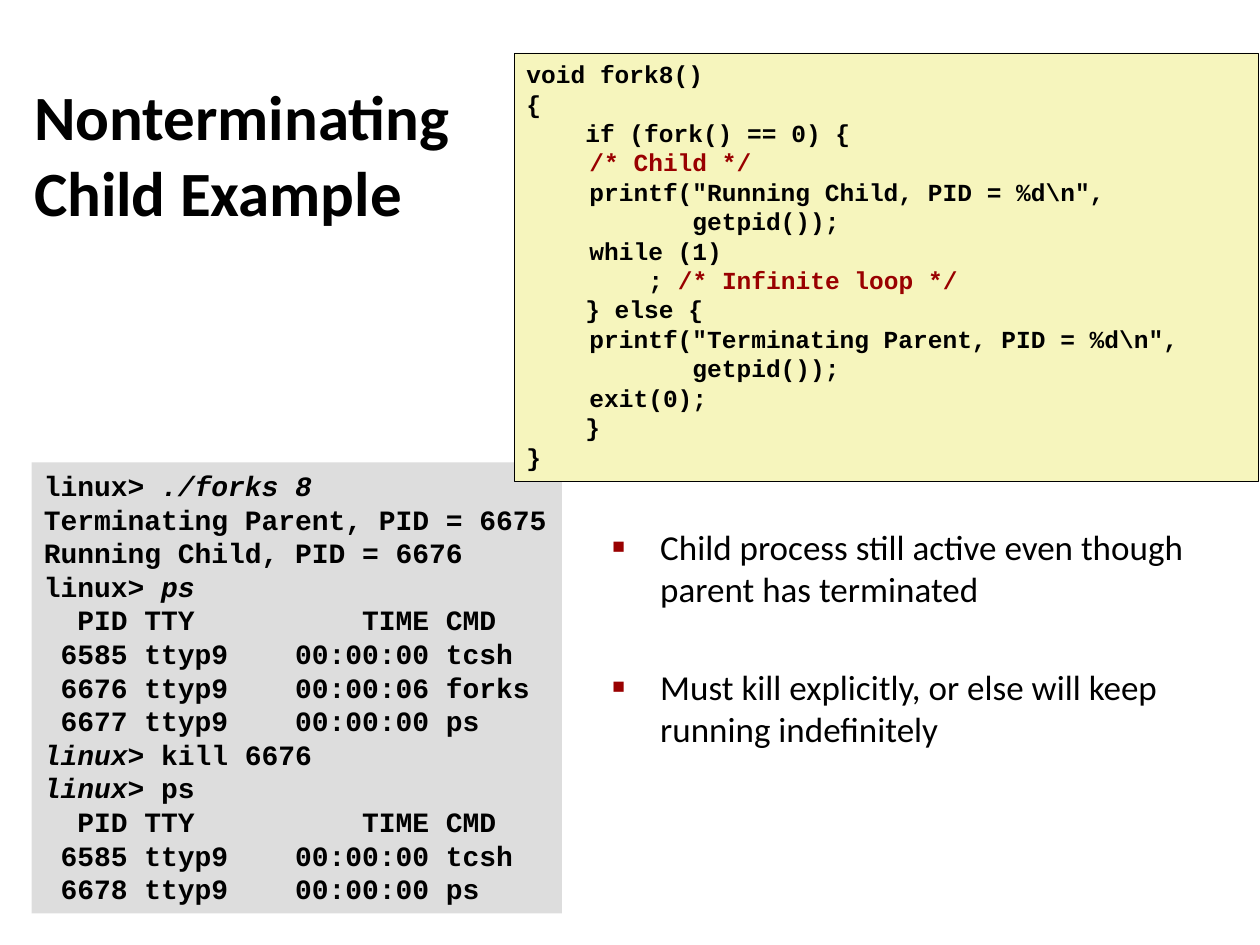
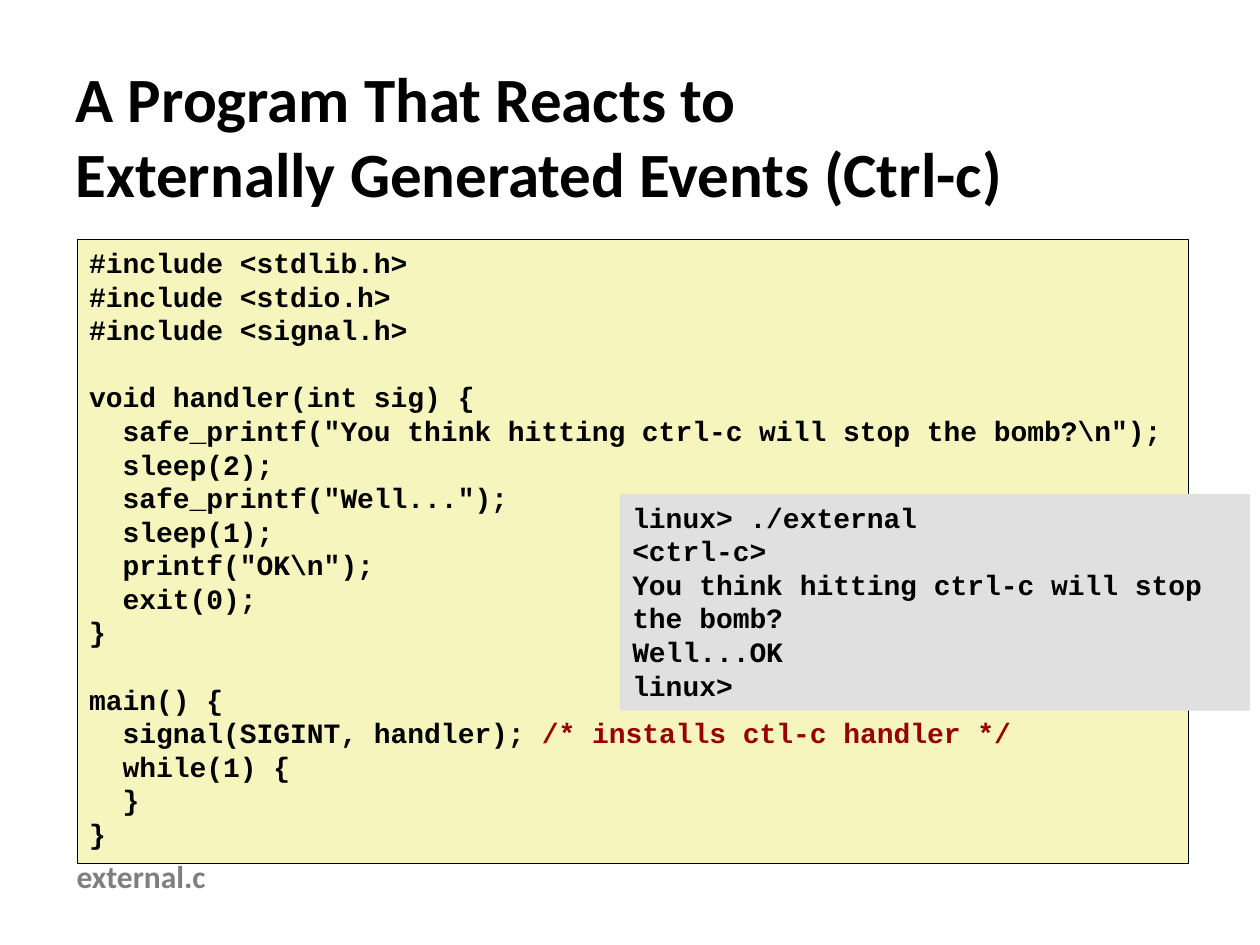
from lxml.etree import SubElement
from pptx import Presentation
from pptx.dml.color import RGBColor
from pptx.enum.shapes import MSO_SHAPE as Preset
from pptx.enum.text import MSO_ANCHOR as Anchor, MSO_AUTO_SIZE as AutoSize, PP_ALIGN as Align
from pptx.oxml.ns import qn
from pptx.util import Inches, Pt

COLORS = {
    "text": "000000",
    "accent": "990000",
    "code": "F6F5BD",
    "fork_terminal": "DDDDDD",
    "signal_terminal": "E0E0E0",
    "caption": "7F7F7F",
}
BODY_FONT = "Calibri"
CODE_FONT = "Courier New"

FORK_CODE = r"""void fork8()
{
    if (fork() == 0) {
	/* Child */
	printf("Running Child, PID = %d\n",
	       getpid());
	while (1)
	    ; /* Infinite loop */
    } else {
	printf("Terminating Parent, PID = %d\n",
	       getpid());
	exit(0);
    }
}"""

SIGNAL_CODE = r"""#include <stdlib.h>
#include <stdio.h>
#include <signal.h>

void handler(int sig) {
  safe_printf("You think hitting ctrl-c will stop the bomb?\n");
  sleep(2);
  safe_printf("Well...");
  sleep(1);
  printf("OK\n");
  exit(0);
}

main() {
  signal(SIGINT, handler); /* installs ctl-c handler */
  while(1) {
  }
}"""

SIGNAL_SESSION = """linux> ./external
<ctrl-c>
You think hitting ctrl-c will stop the bomb?
Well...OK
linux>"""

ITALIC = {"italic": True}
PS_HEADER = "  PID TTY          TIME CMD"
PS_SHELL = " 6585 ttyp9    00:00:00 tcsh"
FORK_SESSION = [
    [("linux> ", {}), ("./forks 8", ITALIC)],
    [("Terminating Parent, PID = 6675", {})],
    [("Running Child, PID = 6676", {})],
    [("linux> ", {}), ("ps", ITALIC)],
    [(PS_HEADER, {})],
    [(PS_SHELL, {})],
    [(" 6676 ttyp9    00:00:06 forks", {})],
    [(" 6677 ttyp9    00:00:00 ps", {})],
    [("linux>", ITALIC), (" kill 6676", {})],
    [("linux>", ITALIC), (" ps", {})],
    [(PS_HEADER, {})],
    [(PS_SHELL, {})],
    [(" 6678 ttyp9    00:00:00 ps", {})],
]


def place(shape, left, top, width, height):
    shape.left, shape.top = Inches(left), Inches(top)
    shape.width, shape.height = Inches(width), Inches(height)


def add_run(paragraph, text, font=BODY_FONT, size=20, color="text", bold=False, italic=False):
    run = paragraph.add_run()
    run.text = text
    run.font.name = font
    run.font.size = Pt(size)
    run.font.bold = bold
    run.font.italic = italic
    run.font.color.rgb = RGBColor.from_string(COLORS[color])


def add_paragraph(text_frame, index):
    paragraph = text_frame.add_paragraph() if index else text_frame.paragraphs[0]
    paragraph.alignment = Align.LEFT
    return paragraph


def split_comment(line):
    code, mark, comment = line.partition("/*")
    segments = [(code, {}), (mark + comment, {"color": "accent"})]
    return [segment for segment in segments if segment[0]]


def code_lines(source):
    return [split_comment(line) for line in source.split("\n")]


def set_title(slide, lines, box):
    title = slide.shapes.title
    place(title, *box)
    text_frame = title.text_frame
    text_frame.auto_size = AutoSize.NONE
    text_frame.vertical_anchor = Anchor.MIDDLE
    paragraph = add_paragraph(text_frame, 0)
    for index, line in enumerate(lines):
        if index:
            paragraph.add_line_break()
        add_run(paragraph, line, size=36, bold=True)


def add_bullet(paragraph):
    properties = paragraph._p.get_or_add_pPr()
    properties.set("marL", str(Inches(0.38)))
    properties.set("indent", str(-Inches(0.38)))
    color = SubElement(properties, qn("a:buClr"))
    SubElement(color, qn("a:srgbClr"), val=COLORS["accent"])
    SubElement(properties, qn("a:buSzPct"), val="60000")
    SubElement(properties, qn("a:buFont"), typeface="Arial")
    SubElement(properties, qn("a:buChar"), char="■")


def set_bullets(slide, items, box):
    body = slide.placeholders[1]
    place(body, *box)
    body.text_frame.auto_size = AutoSize.NONE
    for index, item in enumerate(items):
        paragraph = add_paragraph(body.text_frame, index)
        paragraph.space_before = Pt(32 if index else 0)
        add_bullet(paragraph)
        add_run(paragraph, item)


def add_listing(slide, lines, box, fill, size=16, outlined=False, wrap=False):
    panel = slide.shapes.add_shape(Preset.RECTANGLE, *map(Inches, box))
    panel.shadow.inherit = False
    panel.fill.solid()
    panel.fill.fore_color.rgb = RGBColor.from_string(COLORS[fill])
    if outlined:
        panel.line.color.rgb = RGBColor.from_string(COLORS["text"])
        panel.line.width = Pt(0.25)
    else:
        panel.line.fill.background()
    text_frame = panel.text_frame
    text_frame.word_wrap = wrap
    text_frame.auto_size = AutoSize.SHAPE_TO_FIT_TEXT
    text_frame.vertical_anchor = Anchor.TOP
    for index, segments in enumerate(lines):
        paragraph = add_paragraph(text_frame, index)
        paragraph.font.size = Pt(size)
        paragraph.font.name = CODE_FONT
        for text, style in segments:
            add_run(paragraph, text, font=CODE_FONT, size=size, bold=True, **style)


def add_caption(slide, text, box):
    caption = slide.shapes.add_textbox(*map(Inches, box))
    caption.text_frame.word_wrap = False
    add_run(add_paragraph(caption.text_frame, 0), text, size=18, color="caption", bold=True)


def build_fork_slide(presentation):
    slide = presentation.slides.add_slide(presentation.slide_layouts[1])
    set_title(slide, ["Nonterminating", "Child Example"], (0.17, 0.33, 4, 1.77))
    set_bullets(slide, [
        "Child process still active even though parent has terminated",
        "Must kill explicitly, or else will keep running indefinitely",
    ], (4.76, 4.12, 4.74, 2.97))
    add_listing(slide, FORK_SESSION, (0.25, 3.67, 4.21, 3.58), "fork_terminal")
    add_listing(slide, code_lines(FORK_CODE), (4.08, 0.42, 5.91, 3.4), "code",
                size=14, outlined=True)


def build_signal_slide(presentation):
    slide = presentation.slides.add_slide(presentation.slide_layouts[5])
    set_title(slide, ["A Program That Reacts to", "Externally Generated Events (Ctrl-c)"],
              (0.5, 0.47, 9.17, 1.2))
    add_listing(slide, code_lines(SIGNAL_CODE), (0.61, 1.9, 8.82, 4.95), "code", outlined=True)
    add_caption(slide, "external.c", (0.51, 6.75, 1.24, 0.4))
    add_listing(slide, code_lines(SIGNAL_SESSION), (4.92, 3.92, 5, 1.72), "signal_terminal",
                wrap=True)


def main():
    presentation = Presentation()
    presentation.slide_width = Inches(10)
    presentation.slide_height = Inches(7.5)
    build_fork_slide(presentation)
    build_signal_slide(presentation)
    presentation.save("out.pptx")


if __name__ == "__main__":
    main()
